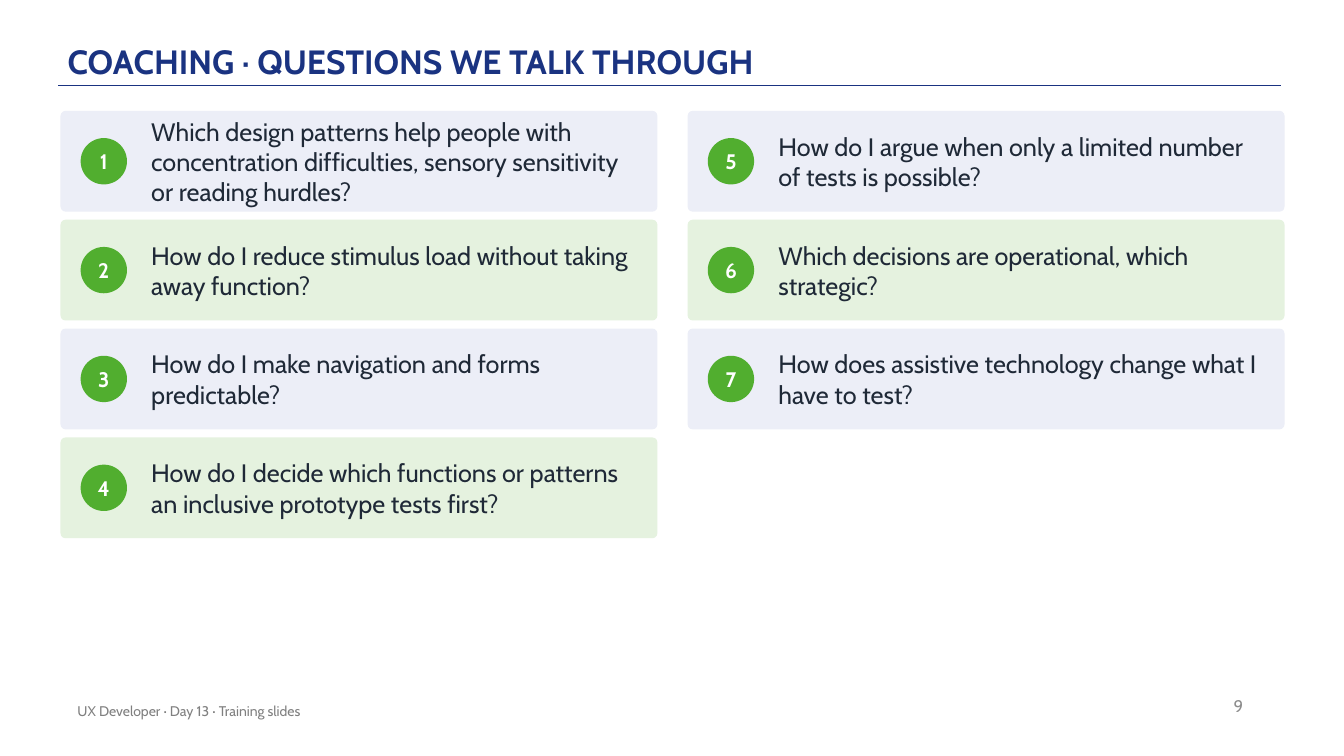
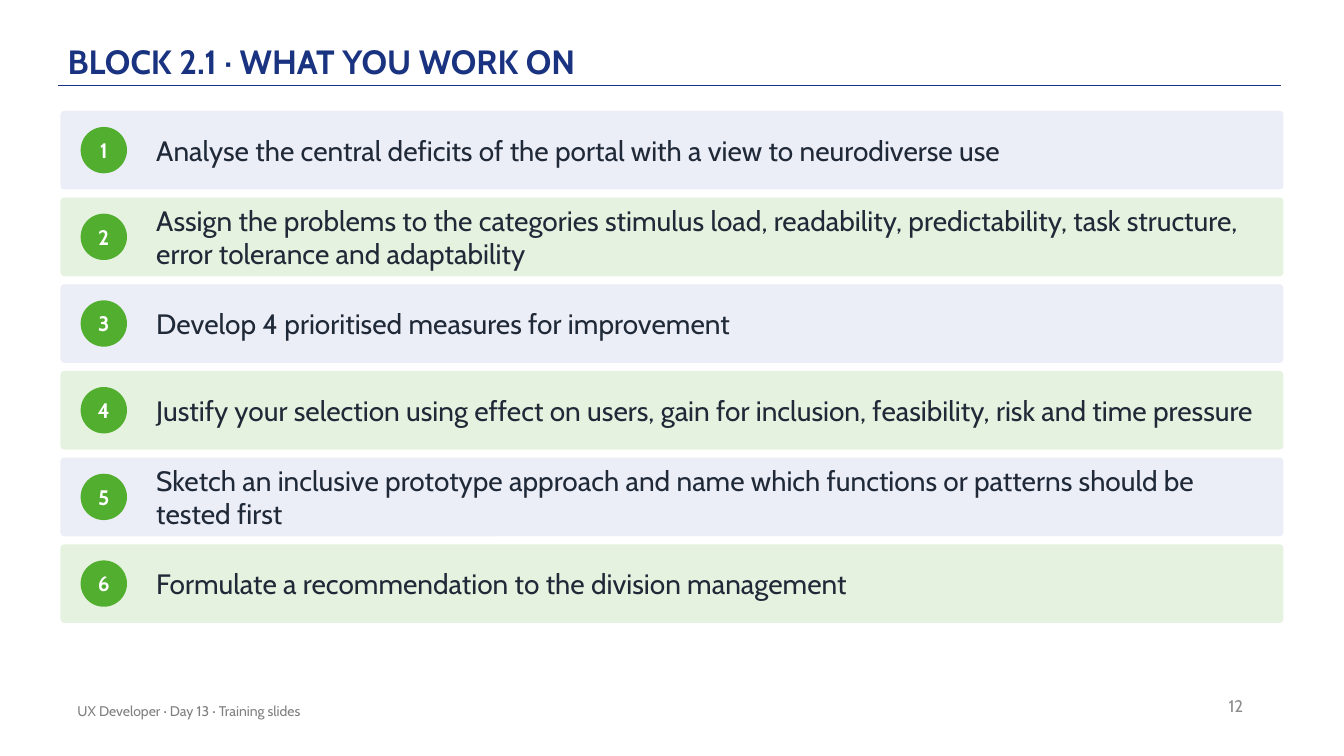
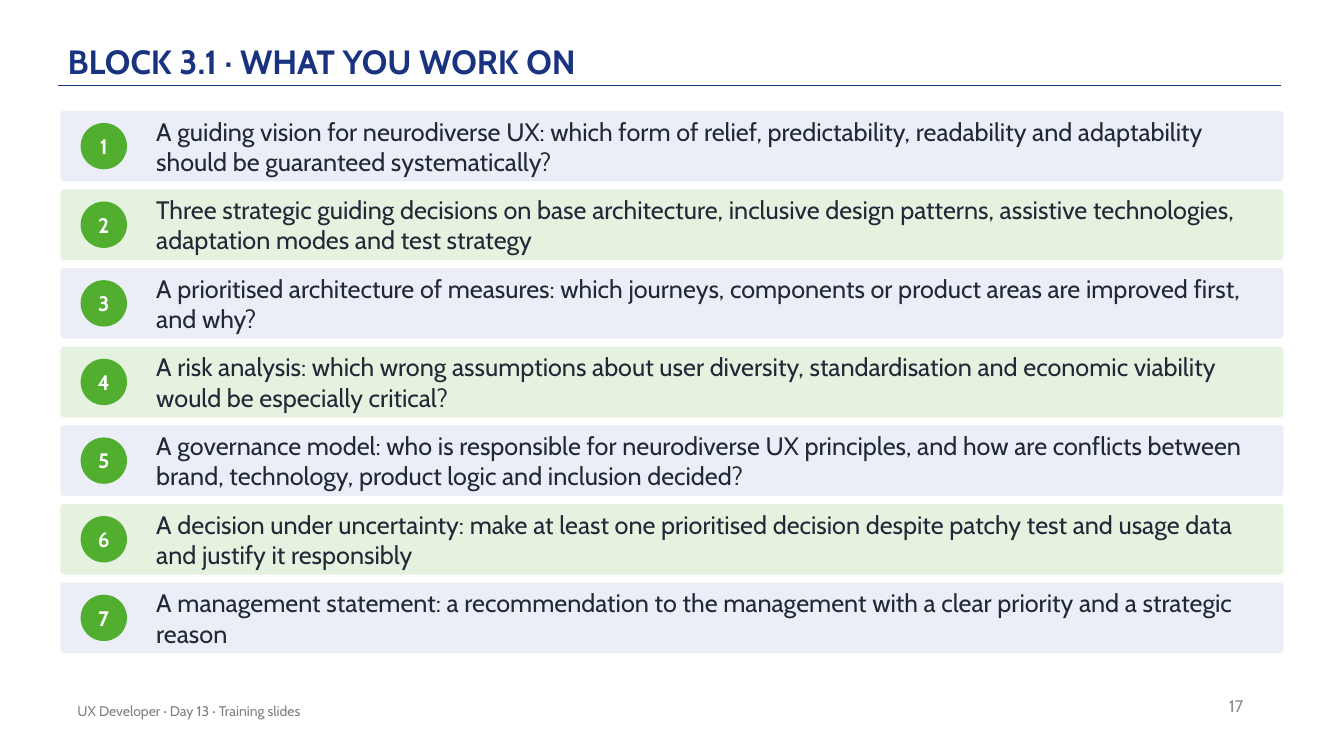
from dataclasses import dataclass
from typing import Any

from pptx import Presentation
from pptx.dml.color import RGBColor
from pptx.enum.shapes import MSO_CONNECTOR as Line, MSO_SHAPE as Form
from pptx.enum.text import MSO_ANCHOR as Anchor, MSO_AUTO_SIZE as Fit, PP_ALIGN as Align
from pptx.oxml.ns import qn
from pptx.util import Inches, Pt

FACE = "Cabin"
NAVY, GREEN, INK, WHITE = "1A3381", "51AE2F", "1F2937", "FFFFFF"
GREY, SILVER = "808080", "8C8C8C"
BANDS = ("ECEEF7", "E5F2DF")
LEFT, TOP, GAP, GUTTER = 0.6, 1.1, 0.08, 0.3
DOT, INSET = 0.46, 0.2
FOOTER = "UX Developer · Day 13 · Training slides"

Box = tuple[float, float, float, float]


@dataclass(frozen=True)
class Style:
    size: int
    hue: str
    bold: bool = False
    align: Align = Align.LEFT
    anchor: Anchor = Anchor.MIDDLE
    pads: Box = (0, 0, 0, 0)
    lead: float | None = None


@dataclass(frozen=True)
class Deck:
    title: str
    page: int
    width: float
    height: float
    indent: float
    size: int
    rows: int
    items: tuple[str, ...]


FRAME = (0.1, 0.05, 0.1, 0.05)
TITLE = Style(24, NAVY, True, anchor=Anchor.BOTTOM, pads=(0, 0.03, 0, 0.03), lead=0.9)
BADGE = Style(15, WHITE, True, Align.CENTER)
PAGE = Style(12, SILVER, align=Align.RIGHT, pads=FRAME)
FOOT = Style(10, GREY, pads=FRAME)

DECKS = (
    Deck("COACHING · QUESTIONS WE TALK THROUGH", 9, 5.92, 1, 0.9, 18, 4, (
        "Which design patterns help people with concentration difficulties, sensory sensitivity or reading hurdles?",
        "How do I reduce stimulus load without taking away function?",
        "How do I make navigation and forms predictable?",
        "How do I decide which functions or patterns an inclusive prototype tests first?",
        "How do I argue when only a limited number of tests is possible?",
        "Which decisions are operational, which strategic?",
        "How does assistive technology change what I have to test?",
    )),
    Deck("BLOCK 2.1 · WHAT YOU WORK ON", 12, 12.13, 0.78, 0.95, 20, 6, (
        "Analyse the central deficits of the portal with a view to neurodiverse use",
        "Assign the problems to the categories stimulus load, readability, predictability, task structure, "
        "error tolerance and adaptability",
        "Develop 4 prioritised measures for improvement",
        "Justify your selection using effect on users, gain for inclusion, feasibility, risk and time pressure",
        "Sketch an inclusive prototype approach and name which functions or patterns should be tested first",
        "Formulate a recommendation to the division management",
    )),
    Deck("BLOCK 3.1 · WHAT YOU WORK ON", 17, 12.13, 0.7, 0.95, 18, 7, (
        "A guiding vision for neurodiverse UX: which form of relief, predictability, readability and "
        "adaptability should be guaranteed systematically?",
        "Three strategic guiding decisions on base architecture, inclusive design patterns, assistive "
        "technologies, adaptation modes and test strategy",
        "A prioritised architecture of measures: which journeys, components or product areas are improved "
        "first, and why?",
        "A risk analysis: which wrong assumptions about user diversity, standardisation and economic "
        "viability would be especially critical?",
        "A governance model: who is responsible for neurodiverse UX principles, and how are conflicts "
        "between brand, technology, product logic and inclusion decided?",
        "A decision under uncertainty: make at least one prioritised decision despite patchy test and "
        "usage data and justify it responsibly",
        "A management statement: a recommendation to the management with a clear priority and a strategic reason",
    )),
)


def tint(code: str) -> RGBColor:
    return RGBColor.from_string(code)


def apply(target: Any, values: dict[str, Any]) -> None:
    for name, value in values.items():
        setattr(target, name, value)


def place(box: Box) -> list[int]:
    return [Inches(side) for side in box]


def write(shape: Any, text: str, style: Style) -> None:
    frame = shape.text_frame
    sides = ("margin_left", "margin_top", "margin_right", "margin_bottom")
    apply(frame, {"text": text, "word_wrap": True, "auto_size": Fit.NONE, "vertical_anchor": style.anchor})
    apply(frame, dict(zip(sides, place(style.pads))))
    para = frame.paragraphs[0]
    apply(para, {"alignment": style.align, "line_spacing": style.lead})
    font = para.runs[0].font
    apply(font, {"name": FACE, "size": Pt(style.size), "bold": style.bold})
    font.color.rgb = tint(style.hue)


def label(slide: Any, box: Box, text: str, style: Style) -> None:
    write(slide.shapes.add_textbox(*place(box)), text, style)


def solid(slide: Any, form: Form, box: Box, hue: str) -> Any:
    shape = slide.shapes.add_shape(form, *place(box))
    shape.shadow.inherit = False
    shape.fill.solid()
    shape.fill.fore_color.rgb = tint(hue)
    shape.line.fill.background()
    return shape


def rule(slide: Any) -> None:
    line = slide.shapes.add_connector(Line.STRAIGHT, *place((0.58, 0.85, 12.71, 0.85)))
    line.line.color.rgb = tint(NAVY)
    line.line.width = Pt(1)
    props = line._element.spPr
    props.append(props.makeelement(qn("a:effectLst"), {}))


def card(slide: Any, deck: Deck, index: int, text: str) -> None:
    col, row = divmod(index, deck.rows)
    left = LEFT + col * (deck.width + GUTTER)
    top = TOP + row * (deck.height + GAP)
    band = solid(slide, Form.ROUNDED_RECTANGLE, (left, top, deck.width, deck.height), BANDS[row % 2])
    band.adjustments[0] = 0.05
    dot = solid(slide, Form.OVAL, (left + INSET, top + (deck.height - DOT) / 2, DOT, DOT), GREEN)
    write(dot, str(index + 1), BADGE)
    span = deck.width - 2 * deck.indent + 0.7
    label(slide, (left + deck.indent, top, span, deck.height), text, Style(deck.size, INK))


def build(show: Any, deck: Deck) -> None:
    slide = show.slides.add_slide(show.slide_layouts[5])
    rule(slide)
    title = slide.shapes.title
    apply(title, dict(zip(("left", "top", "width", "height"), place((0.67, 0.12, 11, 0.72)))))
    write(title, deck.title, TITLE)
    label(slide, (9.43, 6.8, 3, 0.4), str(deck.page), PAGE)
    label(slide, (0.67, 6.85, 6.7, 0.4), FOOTER, FOOT)
    for index, text in enumerate(deck.items):
        card(slide, deck, index, text)


def main() -> None:
    show = Presentation()
    apply(show, {"slide_width": Inches(13.33), "slide_height": Inches(7.5)})
    for deck in DECKS:
        build(show, deck)
    show.save("out.pptx")


if __name__ == "__main__":
    main()
